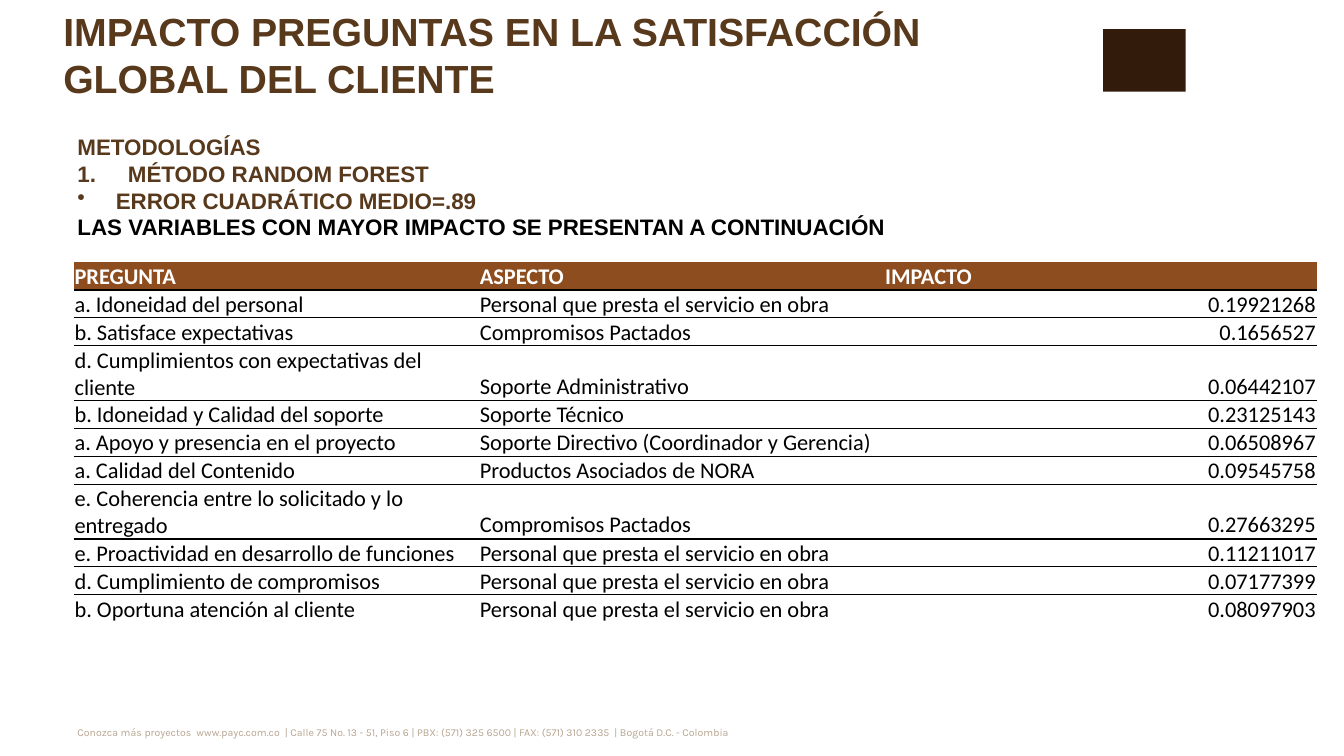
from pptx import Presentation
from pptx.dml.color import RGBColor
from pptx.enum.shapes import MSO_SHAPE
from pptx.enum.text import MSO_ANCHOR, PP_ALIGN
from pptx.oxml.ns import qn
from pptx.util import Inches, Pt
from lxml.etree import SubElement

BROWN, HEADER, DARK, SAND = "58391C", "8E4D1F", "321B0B", "B8A592"
BLACK, WHITE = "000000", "FFFFFF"
NO_STYLE = "{2D5ABB26-0587-4C30-8999-92F81FD0307C}"

TITLE = "IMPACTO PREGUNTAS EN LA SATISFACCIÓN GLOBAL DEL CLIENTE"
FOOTER = ("Conozca más proyectos  www.payc.com.co  | Calle 75 No. 13 - 51, Piso 6 | "
          "PBX: (571) 325 6500 | FAX: (571) 310 2335  | Bogotá D.C. - Colombia")
# Text, colour, bullet element with its attributes, indent in inches
METHODS = [
    ("METODOLOGÍAS", BROWN, None, 0),
    ("MÉTODO RANDOM FOREST", BROWN, ("a:buAutoNum", {"type": "arabicPeriod"}), 0.5),
    ("ERROR CUADRÁTICO MEDIO=.89", BROWN, ("a:buChar", {"char": "•"}), 0.38),
    ("LAS VARIABLES CON MAYOR IMPACTO SE PRESENTAN A CONTINUACIÓN", BLACK, None, 0),
]
STAFF = "Personal que presta el servicio en obra"
ROWS = [
    ("PREGUNTA", "ASPECTO", "IMPACTO"),
    ("a. Idoneidad del personal", STAFF, "0.19921268"),
    ("b. Satisface expectativas", "Compromisos Pactados", "0.1656527"),
    ("d. Cumplimientos con expectativas del cliente", "Soporte Administrativo", "0.06442107"),
    ("b. Idoneidad y Calidad del soporte", "Soporte Técnico", "0.23125143"),
    ("a. Apoyo y presencia en el proyecto", "Soporte Directivo (Coordinador y Gerencia)",
     "0.06508967"),
    ("a. Calidad del Contenido", "Productos Asociados de NORA", "0.09545758"),
    ("e. Coherencia entre lo solicitado y lo entregado", "Compromisos Pactados", "0.27663295"),
    ("e. Proactividad en desarrollo de funciones", STAFF, "0.11211017"),
    ("d. Cumplimiento de compromisos", STAFF, "0.07177399"),
    ("b. Oportuna atención al cliente", STAFF, "0.08097903"),
]


def color(value):
    return RGBColor.from_string(value)


def style(font, fill, **values):
    for name, value in values.items():
        setattr(font, name, value)
    font.color.rgb = color(fill)


def text_frame(slide, box):
    tf = slide.shapes.add_textbox(*map(Inches, box)).text_frame
    tf.word_wrap = True
    return tf


def add_line(slide, box, text, fill, **values):
    r = text_frame(slide, box).paragraphs[0].add_run()
    r.text = text
    style(r.font, fill, **values)
    return r


def add_methods(slide, box):
    tf = text_frame(slide, box)
    for i, (text, fill, bullet, indent) in enumerate(METHODS):
        p = tf.add_paragraph() if i else tf.paragraphs[0]
        if bullet:
            pPr = p._p.get_or_add_pPr()
            pPr.set("marL", str(Inches(indent)))
            pPr.set("indent", str(-Inches(indent)))
            tag, attrs = bullet
            SubElement(pPr, qn(tag), attrs)
        r = p.add_run()
        r.text = text
        style(r.font, fill, name="Arial", size=Pt(16), bold=True)


def add_border(cell, side):
    tcPr = cell._tc.get_or_add_tcPr()
    ln = SubElement(tcPr, qn(f"a:{side}"), w=str(Pt(1)))
    solid = SubElement(ln, qn("a:solidFill"))
    SubElement(solid, qn("a:srgbClr"), val=BLACK)


def add_impacts(slide, box, shares):
    left, top, width, height = map(Inches, box)
    table = slide.shapes.add_table(len(ROWS), len(shares), left, top, width, height).table
    table.first_row = table.horz_banding = False
    table._tbl.tblPr.find(qn("a:tableStyleId")).text = NO_STYLE
    for column, share in zip(table.columns, shares):
        column.width = int(width * share / sum(shares))
    margins = {"margin_left": Inches(0.01), "margin_right": Inches(0.01),
               "margin_top": Inches(0.01), "margin_bottom": 0,
               "vertical_anchor": MSO_ANCHOR.BOTTOM}
    for i, row in enumerate(ROWS):
        for j, text in enumerate(row):
            cell = table.cell(i, j)
            for name, value in margins.items():
                setattr(cell, name, value)
            # Rules between rows come before the fill
            if i:
                add_border(cell, "lnT")
            if i < len(ROWS) - 1:
                add_border(cell, "lnB")
            if i == 0:
                cell.fill.solid()
                cell.fill.fore_color.rgb = color(HEADER)
            else:
                cell.fill.background()
            p = cell.text_frame.paragraphs[0]
            if i and j == 2:
                p.alignment = PP_ALIGN.RIGHT
            r = p.add_run()
            r.text = text
            style(r.font, BLACK if i else WHITE, name="Calibri", size=Pt(16), bold=i == 0)


def add_block(slide, box):
    sp = slide.shapes.add_shape(MSO_SHAPE.RECTANGLE, *map(Inches, box))
    sp.shadow.inherit = False
    sp.fill.solid()
    sp.fill.fore_color.rgb = color(DARK)
    sp.line.fill.background()


def main():
    prs = Presentation()
    prs.slide_width, prs.slide_height = Inches(13.33), Inches(7.5)
    slide = prs.slides.add_slide(prs.slide_layouts[6])

    # Footer and corner block
    footer = add_line(slide, (0.67, 7.13, 10.27, 0.39), FOOTER, SAND, name="Karla", size=Pt(13))
    footer.font._element.set("baseline", "30000")
    add_block(slide, (10.94, 0.29, 0.82, 0.62))

    # Title, methods and impact table
    add_line(slide, (0.53, 0.02, 10.1, 0.67), TITLE, BROWN, name="Arial", size=Pt(28), bold=True)
    add_methods(slide, (0.67, 1.27, 12.39, 1.47))
    add_impacts(slide, (0.73, 2.6, 12.33, 0.21 * len(ROWS)), (4.02, 4.02, 4.29))

    prs.save("out.pptx")


if __name__ == "__main__":
    main()
